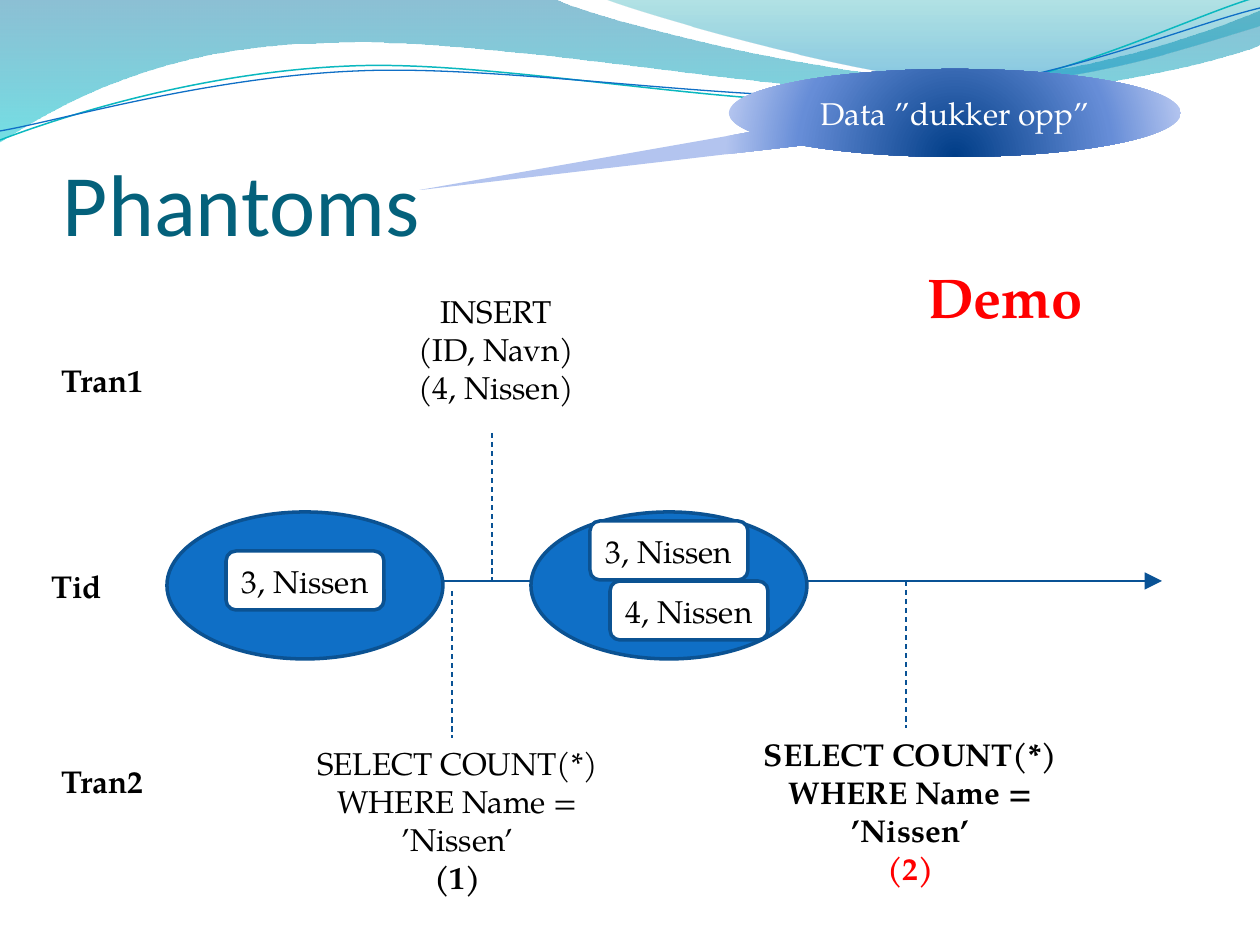
from dataclasses import dataclass

import pptx
import pptx.dml.color
import pptx.enum.shapes
import pptx.enum.text
import pptx.oxml
import pptx.oxml.ns
import pptx.util
from lxml import etree

PX = 914400 // 126
BODY = "TeX Gyre Pagella"
COLORS = {
    "title": "04617B", "text": "000000", "white": "FFFFFF", "red": "FF0000",
    "blue": "0F6FC6", "edge": "0B5292", "axis": "095295", "teal": "0AB8BF",
}
ALIGN = pptx.enum.text.PP_ALIGN
SHAPE = pptx.enum.shapes.MSO_SHAPE
LINEAR = '<a:lin ang="5400000" scaled="0"/>'
RADIAL = ('<a:path path="circle"><a:fillToRect l="50000" t="130000" '
          'r="50000" b="-30000"/></a:path>')

Point = tuple[int, int]
Stop = tuple[int, str, int]  # position %, colour, opacity %


@dataclass
class Wave:
    """One-point steps are straight; three-point steps are Bezier curves."""
    start: Point
    steps: list[tuple[Point, ...]]
    stops: tuple[Stop, ...] = ()
    line: str = ""
    width: float = 0.75


@dataclass
class Label:
    text: str
    box: tuple[int, int, int, int]
    bold: bool = False
    color: str = "text"
    size: int = 18
    align: ALIGN = ALIGN.LEFT
    last: str = ""  # colour of a bold last line


@dataclass
class Stroke:
    start: Point
    end: Point
    extra: str


@dataclass
class Node:
    kind: SHAPE
    box: tuple[int, int, int, int]
    fill: str
    text: str = ""


WAVES = [
    Wave((0, 0), [
        ((554, -1),),
        ((600, 21), (837, 79), (955, 79)),
        ((1075, 79), (1207, 33), (1260, 11)),
        ((1261, 45),),
        ((1239, 55), (1096, 96), (940, 95)),
        ((784, 95), (481, 35), (324, 43)),
        ((163, 45), (58, 105), (-1, 142)),
    ], ((0, "0074A1", 45), (100, "00C6CF", 55))),
    Wave((604, -1), [
        ((641, 14), (859, 78), (969, 82)),
        ((1079, 87), (1211, 40), (1260, 26)),
        ((1260, 0),),
    ], ((0, "00A1A9", 30), (80, "008BBF", 45))),
    Wave((0, 140), [
        ((60, 117), (199, 72), (349, 66)),
        ((498, 59), (747, 112), (898, 101)),
        ((1050, 89), (1182, 19), (1257, -3)),
    ], line="teal", width=0.85),
    Wave((0, 131), [
        ((59, 121), (207, 77), (357, 71)),
        ((508, 64), (752, 106), (903, 95)),
        ((1053, 84), (1185, 26), (1260, 8)),
    ], line="blue"),
]
QUERY = "SELECT COUNT(*)\vWHERE Name = ’Nissen’\v"
LABELS = [
    Label("Tran1", (49, 355, 108, 50), bold=True),
    Label("Tran2", (49, 756, 137, 50), bold=True),
    Label("Tid", (39, 561, 79, 50), bold=True),
    Label("INSERT (ID, Navn)\v(4, Nissen)", (403, 286, 186, 127), align=ALIGN.CENTER),
    Label(QUERY + "(1)", (266, 738, 383, 127), align=ALIGN.CENTER, last="text"),
    Label(QUERY + "(2)", (719, 729, 383, 127), bold=True, align=ALIGN.CENTER, last="red"),
    Label("Demo", (915, 256, 227, 81), bold=True, color="red", size=32),
]
DASH = '<a:prstDash {} val="dash"/>'
STROKES = [
    Stroke((168, 581), (1162, 581), '<a:tailEnd {} type="triangle" w="lg" len="lg"/>'),
    Stroke((492, 433), (492, 581), DASH),
    Stroke((452, 591), (452, 738), DASH),
    Stroke((906, 581), (906, 728), DASH),
]
NODES = [
    Node(SHAPE.OVAL, (167, 512, 276, 147), "blue"),
    Node(SHAPE.ROUNDED_RECTANGLE, (226, 551, 158, 59), "white", "3, Nissen"),
    Node(SHAPE.OVAL, (531, 512, 276, 147), "blue"),
    Node(SHAPE.ROUNDED_RECTANGLE, (590, 521, 158, 59), "white", "3, Nissen"),
    Node(SHAPE.ROUNDED_RECTANGLE, (610, 581, 158, 59), "white", "4, Nissen"),
]


def rgb(name: str) -> pptx.dml.color.RGBColor:
    return pptx.dml.color.RGBColor.from_string(COLORS[name])


def emu(values) -> list[int]:
    return [v * PX for v in values]


def xml(markup: str):
    return pptx.oxml.parse_xml(markup.format(pptx.oxml.ns.nsdecls("a")))


def set_gradient(sp, stops: tuple[Stop, ...], direction: str) -> None:
    marks = "".join(
        f'<a:gs pos="{pos * 1000}"><a:srgbClr val="{color}">'
        f'<a:alpha val="{alpha * 1000}"/></a:srgbClr></a:gs>'
        for pos, color, alpha in stops)
    sp.fill.background()
    blank = sp._element.spPr.find(pptx.oxml.ns.qn("a:noFill"))
    blank.getparent().replace(
        blank, xml(f"<a:gradFill {{}}><a:gsLst>{marks}</a:gsLst>{direction}</a:gradFill>"))


def bend(sp, steps: list[tuple[Point, ...]]) -> None:
    """Turn the line segments of each three-point step into one Bezier curve."""
    segments = iter(list(sp._element.iter(pptx.oxml.ns.qn("a:lnTo"))))
    for step in steps:
        group = [next(segments) for _ in step]
        if len(group) == 3:
            curve = xml("<a:cubicBezTo {}/>")
            group[0].addprevious(curve)
            for segment in group:
                curve.append(segment[0])
                segment.getparent().remove(segment)


def draw_wave(shapes, wave: Wave) -> None:
    builder = shapes.build_freeform(*wave.start, scale=PX)
    builder.add_line_segments([pt for step in wave.steps for pt in step],
                              close=bool(wave.stops))
    sp = builder.convert_to_shape()
    bend(sp, wave.steps)
    sp.shadow.inherit = False
    if wave.stops:
        set_gradient(sp, wave.stops, LINEAR)
        sp.line.fill.background()
    else:
        sp.fill.background()
        sp.line.color.rgb = rgb(wave.line)
        sp.line.width = pptx.util.Pt(wave.width)


def write(tf, text: str, color: str, size: int = 18, font: str = BODY,
          bold: bool = False, align: ALIGN = ALIGN.CENTER):
    tf.word_wrap = True
    tf.text = text
    p = tf.paragraphs[0]
    p.alignment = align
    for r in p.runs:
        r.font.name, r.font.size, r.font.bold = font, pptx.util.Pt(size), bold
        r.font.color.rgb = rgb(color)
    return p


def draw_label(shapes, label: Label) -> None:
    tf = shapes.add_textbox(*emu(label.box)).text_frame
    p = write(tf, label.text, label.color, label.size, bold=label.bold, align=label.align)
    tf.auto_size = pptx.enum.text.MSO_AUTO_SIZE.SHAPE_TO_FIT_TEXT
    if label.last:
        p.runs[-1].font.bold = True
        p.runs[-1].font.color.rgb = rgb(label.last)


def draw_stroke(shapes, stroke: Stroke) -> None:
    line = shapes.add_connector(pptx.enum.shapes.MSO_CONNECTOR.STRAIGHT,
                                *emu(stroke.start + stroke.end))
    line.line.color.rgb = rgb("axis")
    line.line.width = pptx.util.Pt(0.75)
    line.line._get_or_add_ln().append(xml(stroke.extra))
    etree.SubElement(line._element.spPr, pptx.oxml.ns.qn("a:effectLst"))


def draw_node(shapes, node: Node) -> None:
    sp = shapes.add_shape(node.kind, *emu(node.box))
    sp.shadow.inherit = False
    sp.fill.solid()
    sp.fill.fore_color.rgb = rgb(node.fill)
    sp.line.color.rgb = rgb("edge")
    sp.line.width = pptx.util.Pt(2)
    if node.text:
        write(sp.text_frame, node.text, "text")


def draw_title(shapes) -> None:
    tf = shapes.add_textbox(*emu((63, 97, 1134, 157))).text_frame
    write(tf, "Phantoms", "title", 50, "Calibri", align=ALIGN.LEFT)
    tf.vertical_anchor = pptx.enum.text.MSO_ANCHOR.BOTTOM
    tf.margin_left = tf.margin_right = tf.margin_bottom = 0


def draw_callout(shapes) -> None:
    sp = shapes.add_shape(SHAPE.OVAL_CALLOUT, *emu((729, 69, 452, 88)))
    sp.adjustments[0], sp.adjustments[1] = -1.19, 0.88
    set_gradient(sp, ((0, "003D87", 100), (68, "668DD7", 100), (100, "B3C4EF", 100)), RADIAL)
    sp.line.fill.background()
    sp.shadow.inherit = False
    write(sp.text_frame, "Data ”dukker opp”", "white")


def main() -> None:
    prs = pptx.Presentation()
    prs.slide_width, prs.slide_height = emu((1260, 945))
    s = prs.slides.add_slide(prs.slide_layouts[6])
    for wave in WAVES:
        draw_wave(s.shapes, wave)
    draw_title(s.shapes)
    for label in LABELS:
        draw_label(s.shapes, label)
    for stroke in STROKES:
        draw_stroke(s.shapes, stroke)
    draw_callout(s.shapes)
    for node in NODES:
        draw_node(s.shapes, node)
    prs.save("out.pptx")


if __name__ == "__main__":
    main()
